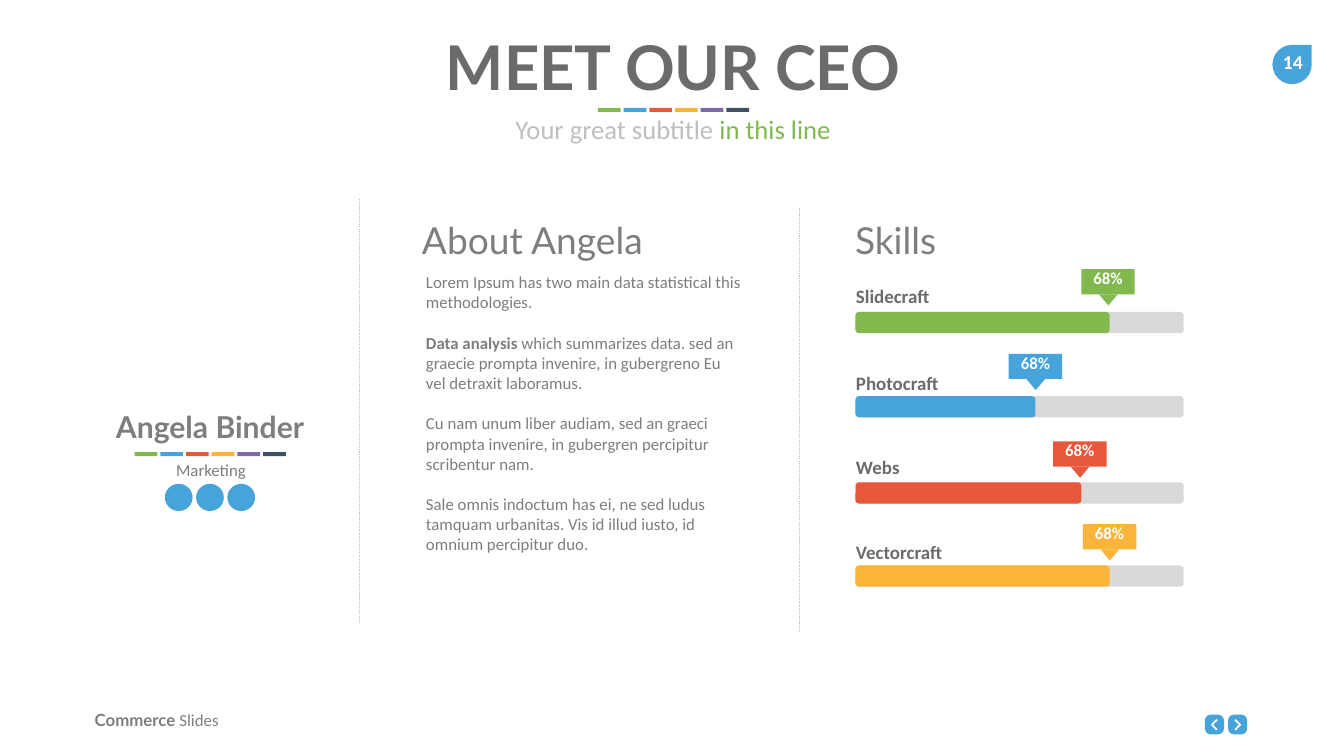
from dataclasses import dataclass

from pptx import Presentation, util as u
from pptx.dml.color import RGBColor
from pptx.enum import dml, shapes, text
from pptx.oxml import ns
from lxml import etree

SHAPE = shapes.MSO_SHAPE
ALIGN = text.PP_ALIGN


@dataclass(frozen=True)
class Theme:
    """Colours, fonts and type sizes."""
    green: str = "81B94F"
    blue: str = "46A4DB"
    red: str = "E5583A"
    amber: str = "F9B439"
    violet: str = "7C69A8"
    navy: str = "404F64"
    dark: str = "6B6B6B"
    grey: str = "7E7E7E"
    pale: str = "BFBFBF"
    track: str = "D9D9D9"
    white: str = "FFFFFF"
    display: str = "Lato"
    plain: str = "Calibri"
    title: int = 88
    heading: int = 53
    name: int = 43
    subtitle: int = 38
    number: int = 28
    label: int = 27
    body: int = 24


class SlideBuilder:
    """Holds the theme and the current slide, and adds elements to it."""

    def __init__(self, page, theme):
        self.page = page
        self.theme = theme

    def fill_text(self, box, paragraphs, size, colour, font, bold=False,
                  align=ALIGN.LEFT, gap=0, wrap=True, inset=(0.1, 0.05),
                  anchor=text.MSO_ANCHOR.TOP):
        """Fill a box with paragraphs of (words, font changes) spans."""
        frame = box.text_frame
        frame.auto_size = text.MSO_AUTO_SIZE.NONE
        frame.word_wrap = wrap
        frame.vertical_anchor = anchor
        frame.margin_left = frame.margin_right = u.Inches(inset[0])
        frame.margin_top = frame.margin_bottom = u.Inches(inset[1])
        for index, spans in enumerate(paragraphs):
            para = frame.paragraphs[0] if index == 0 else frame.add_paragraph()
            para.alignment = align
            para.space_before = u.Pt(gap if index else 0)
            properties = para._p.get_or_add_pPr()
            properties.set("marL", "0")
            properties.set("indent", "0")
            etree.SubElement(properties, ns.qn("a:buNone"))
            para.font.size = u.Pt(size)
            para.font.name = font
            para.font.bold = bold
            para.font.color.rgb = RGBColor.from_string(colour)
            for words, *changes in spans:
                span = para.add_run()
                span.text = words
                style = changes[0] if changes else {}
                if "bold" in style:
                    span.font.bold = style["bold"]
                if "name" in style:
                    span.font.name = style["name"]
                if "colour" in style:
                    span.font.color.rgb = RGBColor.from_string(style["colour"])

    def text(self, left, top, width, height, paragraphs, *style, **options):
        """Add a text box."""
        box = self.page.shapes.add_textbox(*map(u.Inches, (left, top, width, height)))
        self.fill_text(box, paragraphs, *style, **options)

    def placeholder(self, index, left, top, width, height, paragraphs, *style, **options):
        """Move and fill a template placeholder."""
        box = self.page.placeholders[index]
        box.left, box.top, box.width, box.height = map(u.Inches, (left, top, width, height))
        self.fill_text(box, paragraphs, *style, **options)

    def shape(self, kind, left, top, width, height, colour):
        """Add a flat filled preset shape."""
        shape = self.page.shapes.add_shape(kind, *map(u.Inches, (left, top, width, height)))
        shape.shadow.inherit = False
        shape.fill.solid()
        shape.fill.fore_color.rgb = RGBColor.from_string(colour)
        shape.line.fill.background()
        return shape

    def divider(self, left, top, height):
        """Add a dotted vertical line."""
        line = self.page.shapes.add_connector(
            shapes.MSO_CONNECTOR.STRAIGHT, *map(u.Inches, (left, top, left, top + height)))
        line.line.color.rgb = RGBColor.from_string(self.theme.pale)
        line.line.width = u.Pt(1.5)
        line.line.dash_style = dml.MSO_LINE.ROUND_DOT
        etree.SubElement(line._element.spPr, ns.qn("a:effectLst"))

    def dashes(self, left, top):
        """Add the row of six coloured dashes."""
        theme = self.theme
        colours = (theme.green, theme.blue, theme.red, theme.amber, theme.violet, theme.navy)
        for index, colour in enumerate(colours):
            self.shape(SHAPE.RECTANGLE, left + 0.51 * index, top, 0.45, 0.08, colour)

    def arrow_button(self, left, direction):
        """Add a navigation button whose chevron points left (-1) or right (1)."""
        button = self.shape(SHAPE.ROUNDED_RECTANGLE, left, 14.18, 0.38, 0.39, self.theme.blue)
        button.adjustments[0] = 0.3
        centre = left + 0.19
        points = [(u.Inches(centre + direction * x), u.Inches(14.38 + y))
                  for x, y in ((-0.05, -0.1), (0.05, 0), (-0.05, 0.1))]
        builder = self.page.shapes.build_freeform(*points[0])
        builder.add_line_segments(points[1:], close=False)
        chevron = builder.convert_to_shape()
        chevron.shadow.inherit = False
        chevron.fill.background()
        chevron.line.color.rgb = RGBColor.from_string(self.theme.white)
        chevron.line.width = u.Pt(2.5)

    def heading(self, left, words):
        """Add a column heading."""
        theme = self.theme
        self.text(left, 4.17, 7.35, 1.17, [[(words,)]], theme.heading, theme.grey,
                  theme.display, inset=(0.27, 0.13), anchor=text.MSO_ANCHOR.MIDDLE)

    def skill(self, name, value, colour, bar, label_top, flag):
        """Add a skill bar with its label and value flag."""
        theme = self.theme
        bar_top, bar_width = bar
        left, top = flag
        for width, fill in ((6.51, theme.track), (bar_width, colour)):
            self.shape(SHAPE.ROUNDED_RECTANGLE, 16.97, bar_top, width, 0.42, fill)
        self.text(16.71, label_top, 3.24, 0.72, [[(name,)]], theme.label, theme.dark,
                  theme.plain, bold=True, inset=(0.27, 0.13))
        self.shape(SHAPE.RECTANGLE, left, top, 1.06, 0.5, colour)
        pointer = self.shape(SHAPE.ISOSCELES_TRIANGLE, left + 0.35, top + 0.5, 0.37, 0.22, colour)
        pointer.rotation = 180
        self.text(left + 0.14, top - 0.08, 0.78, 0.5, [[(value,)]], theme.body, theme.white,
                  theme.plain, bold=True, align=ALIGN.CENTER, wrap=False)


def main():
    """Build the profile slide."""
    theme = Theme()
    deck = Presentation()
    deck.slide_width, deck.slide_height = u.Inches(26.66), u.Inches(15)
    page = deck.slides.add_slide(deck.slide_layouts[1])
    slide = SlideBuilder(page, theme)

    slide.placeholder(0, 1.9, 0.53, 22.9, 1.58, [[("MEET OUR CEO",)]], theme.title,
                      theme.dark, theme.display, bold=True, align=ALIGN.CENTER)
    slide.dashes(11.86, 2.14)
    slide.text(1.9, 2.2, 22.9, 0.74,
               [[("Your great subtitle ",), ("in this line", {"colour": theme.green})]],
               theme.subtitle, theme.pale, theme.plain, align=ALIGN.CENTER)
    slide.shape(SHAPE.TEAR, 25.24, 0.89, 0.78, 0.78, theme.blue)
    slide.text(25.21, 0.9, 0.87, 0.67, [[("14",)]], theme.number, theme.white, theme.plain,
               bold=True, align=ALIGN.CENTER, wrap=False, inset=(0.2, 0.1))

    slide.text(2.17, 8.06, 3.99, 0.85, [[("Angela Binder",)]], theme.name, theme.grey,
               theme.display, bold=True, align=ALIGN.CENTER, wrap=False)
    slide.dashes(2.67, 8.97)
    slide.text(2.03, 9.07, 4.31, 0.56, [[("Marketing",)]], theme.body, theme.grey,
               theme.plain, align=ALIGN.CENTER)
    for index in range(3):
        slide.shape(SHAPE.OVAL, 3.27 + 0.62 * index, 9.6, 0.55, 0.54, theme.blue)

    slide.divider(7.14, 3.95, 8.39)
    slide.divider(15.85, 4.13, 8.39)
    slide.heading(8.1, "About Angela")
    slide.placeholder(1, 8.35, 5.34, 6.5, 5.76, [
        [("Lorem Ipsum has two main data statistical this methodologies.",)],
        [("Data analysis ", {"bold": True}),
         ("which summarizes data. sed an graecie prompta invenire, "
          "in gubergreno Eu vel detraxit laboramus.",)],
        [("Cu nam unum liber audiam, sed an graeci prompta invenire, "
          "in gubergren percipitur scribentur nam.",)],
        [("Sale omnis indoctum has ei, ne sed ludus tamquam urbanitas. "
          "Vis id illud iusto, id omnium percipitur duo.",)],
    ], theme.body, theme.grey, theme.plain, gap=29)

    slide.heading(16.69, "Skills")
    skills = (
        ("Slidecraft", theme.green, (6.19, 5.04), 5.51, (21.45, 5.34)),
        ("Photocraft", theme.blue, (7.86, 3.57), 7.25, (20.01, 7.02)),
        ("Webs", theme.red, (9.57, 4.48), 8.91, (20.89, 8.76)),
        ("Vectorcraft", theme.amber, (11.22, 5.04), 10.6, (21.48, 10.4)),
    )
    for name, *layout in skills:
        slide.skill(name, "68%", *layout)

    slide.text(1.78, 14.04, 4, 0.5,
               [[("Commerce ", {"name": theme.display, "bold": True}), ("Slides",)]],
               theme.body, theme.grey, theme.plain)
    slide.arrow_button(23.9, -1)
    slide.arrow_button(24.36, 1)
    deck.save("out.pptx")


if __name__ == "__main__":
    main()
